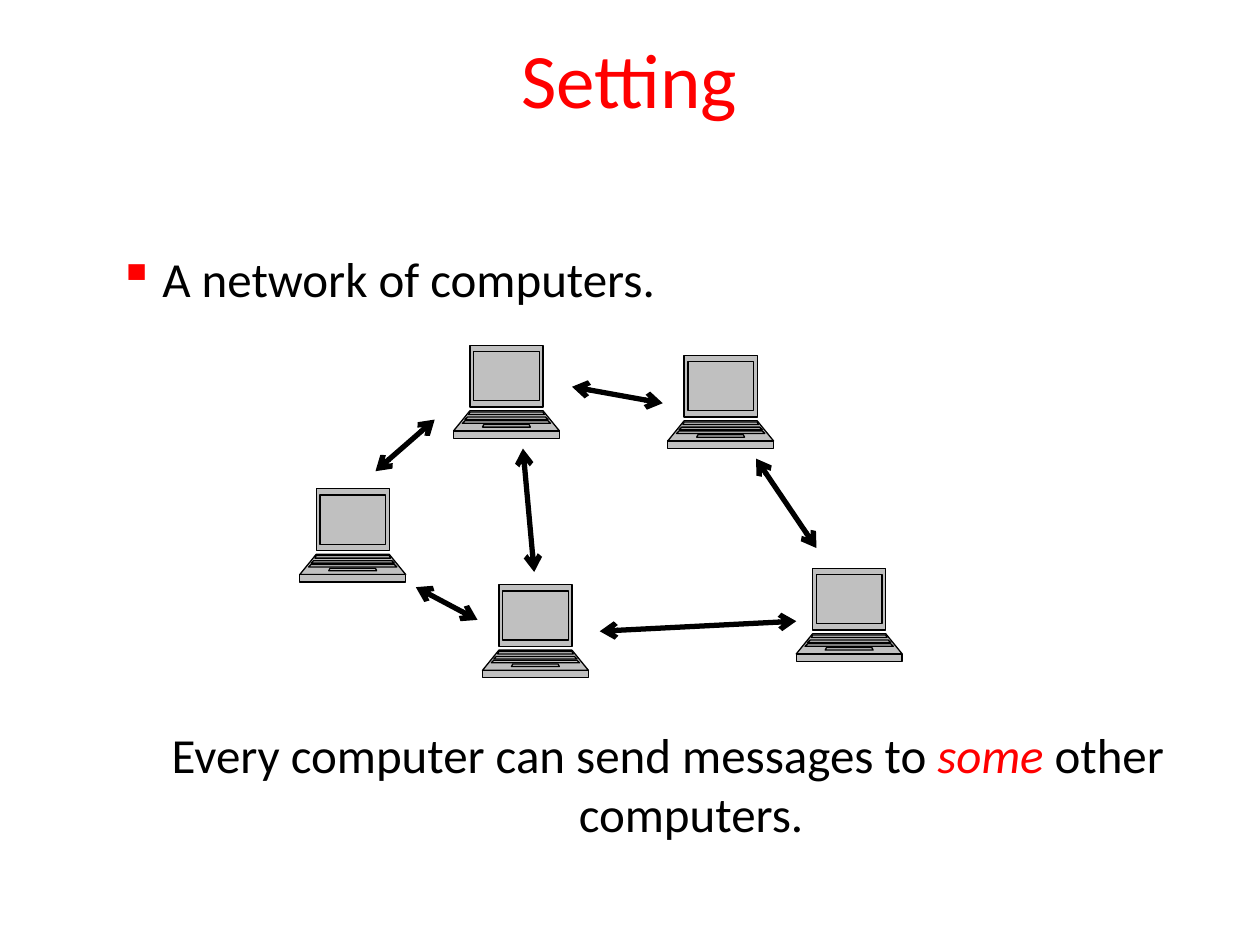
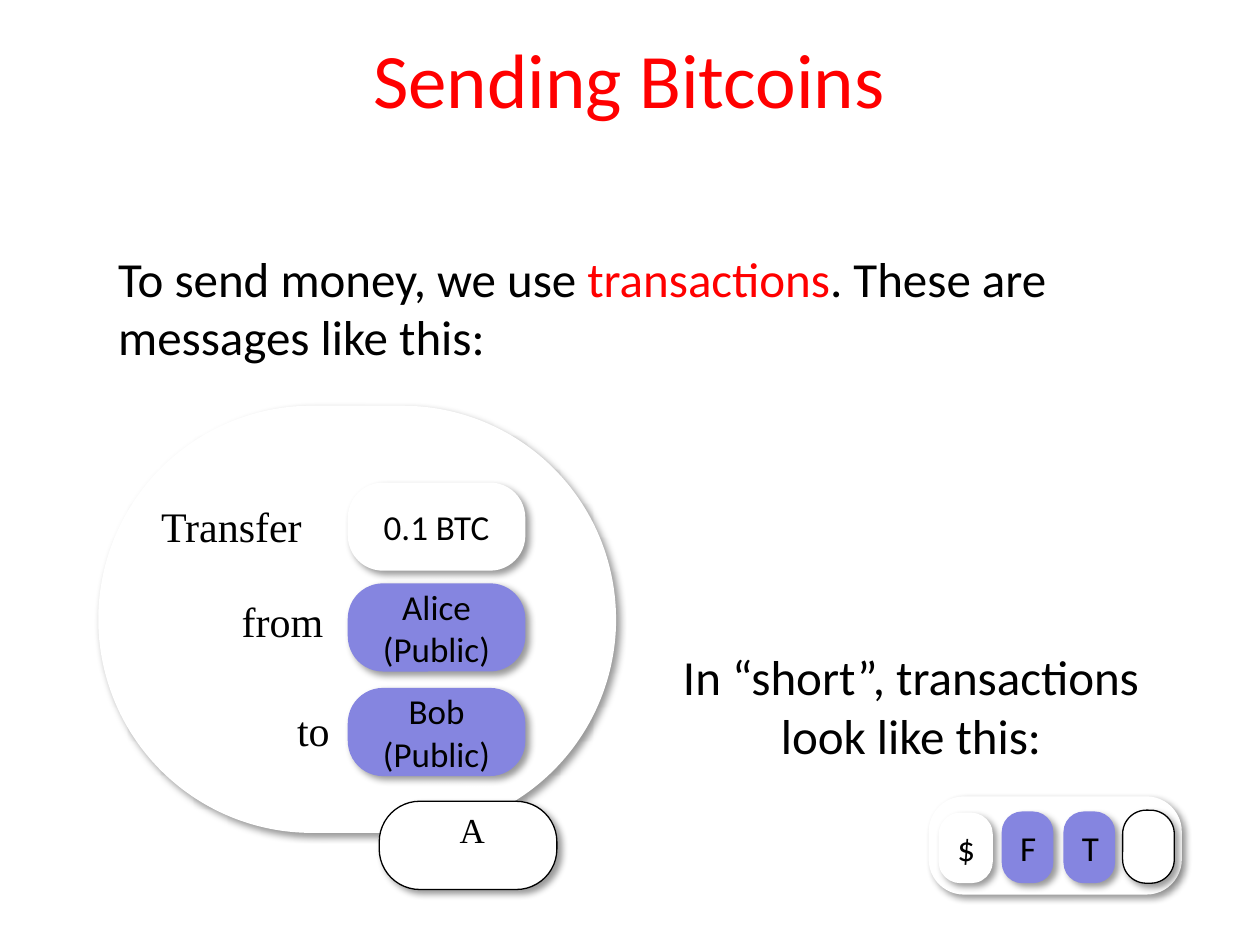
"""Build two slides on a computer network and on sending Bitcoins."""
from lxml.etree import SubElement
from pptx import Presentation
from pptx.dml.color import RGBColor
from pptx.enum.shapes import MSO_CONNECTOR, MSO_SHAPE
from pptx.enum.text import MSO_ANCHOR, MSO_AUTO_SIZE, PP_ALIGN
from pptx.oxml.ns import qn
from pptx.util import Inches, Pt

RED = RGBColor(0xFF, 0x00, 0x00)
BLACK = RGBColor(0x00, 0x00, 0x00)
WHITE = RGBColor(0xFF, 0xFF, 0xFF)
SILVER = RGBColor(0xC0, 0xC0, 0xC0)
LAVENDER = RGBColor(0x85, 0x85, 0xE0)

LAPTOP_CENTRE = 0.42
LAPTOP_PARTS = [
    (0, 0.49, 0.29, 0.29),
    (0.52, 0.68, 0.29, 0.42),
    (0.68, 0.74, 0.42, 0.42),
    (0.05, 0.44, 0.26, 0.26),
    (0.53, 0.55, 0.29, 0.3),
    (0.63, 0.65, 0.18, 0.19),
    (0.57, 0.59, 0.31, 0.33),
    (0.6, 0.62, 0.33, 0.35),
]
LAPTOPS = [(2.38, 3.88), (5.3, 2.82), (3.6, 2.74), (3.83, 4.64), (6.32, 4.51)]
LINKS = [
    ((4.76, 5.01), (6.32, 4.93)),
    ((6.48, 4.35), (6, 3.64)),
    ((4.24, 4.54), (4.15, 3.56)),
    ((5.26, 3.2), (4.54, 3.07)),
    ((3.79, 4.92), (3.3, 4.66)),
    ((3.45, 3.33), (2.98, 3.74)),
]
TRANSFER_ROWS = [
    ("Transfer", (1.18, 3.92, 1.33, 0.5), "0.1 BTC", 3.83, WHITE),
    ("from", (1.82, 4.68, 0.86, 0.5), "Alice (Public)", 4.63, LAVENDER),
    ("to", (2.26, 5.54, 0.46, 0.5), "Bob\n(Public)", 5.46, LAVENDER),
]
SHORT_FIELDS = [
    ("$", (7.45, 6.45, 0.43, 0.56), WHITE),
    ("F", (7.95, 6.44, 0.41, 0.57), LAVENDER),
    ("T", (8.44, 6.44, 0.41, 0.57), LAVENDER),
]


def lengths(*values):
    return [Inches(value) for value in values]


def trapezoid(top, bottom, half_top, half_bottom):
    corners = [(-half_top, top), (half_top, top), (half_bottom, bottom), (-half_bottom, bottom)]
    return [lengths(LAPTOP_CENTRE + x, y) for x, y in corners]


class Deck:
    def __init__(self):
        self.presentation = Presentation()
        self.presentation.slide_width, self.presentation.slide_height = lengths(10, 7.5)
        self.slide = None

    def style(self, run, size, color=BLACK, font="Calibri"):
        run.font.name = font
        run.font.size = Pt(size)
        run.font.color.rgb = color

    def add_pieces(self, paragraph, pieces, size=28):
        paragraph.space_before = Pt(0)
        for words, color, italic in pieces:
            run = paragraph.add_run()
            run.text = words
            self.style(run, size, color)
            run.font.italic = italic

    def fill_placeholder(self, index, box, pieces, size, anchor):
        holder = self.slide.placeholders[index]
        holder.left, holder.top, holder.width, holder.height = lengths(*box)
        frame = holder.text_frame
        frame.margin_left = frame.margin_right = frame.margin_top = frame.margin_bottom = 0
        frame.word_wrap = True
        frame.auto_size = MSO_AUTO_SIZE.NONE
        frame.vertical_anchor = anchor
        paragraph = frame.paragraphs[0]
        paragraph.alignment = PP_ALIGN.CENTER
        self.add_pieces(paragraph, pieces, size)
        return paragraph

    def add_slide(self, title):
        self.slide = self.presentation.slides.add_slide(self.presentation.slide_layouts[1])
        self.fill_placeholder(0, (0, 0, 9.99, 1.24), [(title, RED, False)], 44, MSO_ANCHOR.MIDDLE)

    def body(self, box, pieces, indent=0):
        paragraph = self.fill_placeholder(1, box, pieces, 28, MSO_ANCHOR.TOP)
        properties = paragraph._p.get_or_add_pPr()
        properties.set("marL", str(Inches(indent)))
        properties.set("indent", str(Inches(-indent)))
        SubElement(properties, qn("a:buNone"))

    def statement(self, box, pieces, bullet=None):
        frame = self.slide.shapes.add_textbox(*lengths(*box)).text_frame
        frame.word_wrap = True
        paragraph = frame.paragraphs[0]
        if bullet:
            properties = paragraph._p.get_or_add_pPr()
            properties.set("marL", str(Inches(0.35)))
            properties.set("indent", str(Inches(-0.35)))
            bullet_color = SubElement(properties, qn("a:buClr"))
            SubElement(bullet_color, qn("a:srgbClr"), val=str(RED))
            SubElement(properties, qn("a:buChar"), char=bullet)
        self.add_pieces(paragraph, pieces)

    def label(self, box, words, size=24):
        frame = self.slide.shapes.add_textbox(*lengths(*box)).text_frame
        frame.word_wrap = False
        frame.auto_size = MSO_AUTO_SIZE.SHAPE_TO_FIT_TEXT
        frame.text = words
        self.style(frame.paragraphs[0].runs[0], size, font="Times New Roman")

    def pill(self, box, rounding, fill=WHITE, words="", outlined=False):
        pill = self.slide.shapes.add_shape(MSO_SHAPE.ROUNDED_RECTANGLE, *lengths(*box))
        pill.adjustments[0] = rounding
        pill.fill.solid()
        pill.fill.fore_color.rgb = fill
        if outlined:
            pill.line.color.rgb = BLACK
            pill.line.width = Pt(0.75)
        else:
            pill.line.fill.background()
        self.cast_shadow(pill)
        if words:
            pill.text_frame.text = words
            for paragraph in pill.text_frame.paragraphs:
                paragraph.alignment = PP_ALIGN.CENTER
                self.style(paragraph.runs[0], 20)

    def cast_shadow(self, pill):
        pill.shadow.inherit = False
        effects = pill._element.spPr.find(qn("a:effectLst"))
        shadow = SubElement(effects, qn("a:outerShdw"), blurRad=str(Pt(4)), dist=str(Pt(3)),
                            dir=str(45 * 60000), algn="tl", rotWithShape="0")
        color = SubElement(shadow, qn("a:srgbClr"), val=str(BLACK))
        SubElement(color, qn("a:alpha"), val="40000")

    def laptop(self, left, top):
        contours = [trapezoid(*part) for part in LAPTOP_PARTS]
        builder = self.slide.shapes.build_freeform(*contours[0][0])
        for contour in contours:
            if contour is not contours[0]:
                builder.move_to(*contour[0])
            builder.add_line_segments(contour[1:], close=True)
        laptop = builder.convert_to_shape(*lengths(left, top))
        self.separate_contours(laptop)
        laptop.shadow.inherit = False
        laptop.fill.solid()
        laptop.fill.fore_color.rgb = SILVER
        laptop.line.color.rgb = BLACK
        laptop.line.width = Pt(0.75)

    def separate_contours(self, laptop):
        combined = laptop._element.find(".//" + qn("a:path"))
        outlines = combined.getparent()
        for command in list(combined):
            if command.tag == qn("a:moveTo"):
                contour = SubElement(outlines, qn("a:path"), dict(combined.attrib))
            contour.append(command)
        outlines.remove(combined)

    def link(self, start, end):
        link = self.slide.shapes.add_connector(MSO_CONNECTOR.STRAIGHT, *lengths(*start, *end))
        link.line.color.rgb = BLACK
        link.line.width = Pt(3)
        line = link._element.spPr.find(qn("a:ln"))
        for arrowhead in ("a:headEnd", "a:tailEnd"):
            SubElement(line, qn(arrowhead), type="arrow")
        SubElement(link._element.spPr, qn("a:effectLst"))


def add_setting(deck):
    deck.add_slide("Setting")
    deck.body((0.84, 5.75, 8.92, 1.43), [
        ("Every computer can send messages to ", BLACK, False),
        ("some ", RED, True),
        ("other computers.", BLACK, False),
    ], indent=0.37)
    for corner in LAPTOPS:
        deck.laptop(*corner)
    for start, end in LINKS:
        deck.link(start, end)
    deck.statement((0.84, 1.92, 8.92, 0.87), [("A network of computers.", BLACK, False)], bullet="▪")


def add_sending(deck):
    deck.add_slide("Sending Bitcoins")
    deck.body((5.07, 5.13, 4.32, 2.06), [("In “short”, transactions look like this:", BLACK, False)])
    deck.pill((0.78, 3.22, 4.11, 3.39), 0.5)
    for words, label_box, value, top, fill in TRANSFER_ROWS:
        deck.label(label_box, words)
        deck.pill((2.76, top, 1.41, 0.7), 0.4, fill, value)
    deck.pill((3.01, 6.36, 1.41, 0.7), 0.46, outlined=True)
    deck.label((3.55, 6.37, 0.41, 0.44), "A", 20)
    deck.pill((7.37, 6.32, 2.01, 0.78), 0.36)
    for words, box, fill in SHORT_FIELDS:
        deck.pill(box, 0.4, fill, words)
    deck.pill((8.91, 6.43, 0.41, 0.58), 0.46, outlined=True)
    deck.statement((0.84, 1.92, 9.13, 1.36), [
        ("To send money, we use ", BLACK, False),
        ("transactions", RED, False),
        (". These are messages like this:", BLACK, False),
    ])


def main():
    deck = Deck()
    add_setting(deck)
    add_sending(deck)
    deck.presentation.save("out.pptx")


if __name__ == "__main__":
    main()
